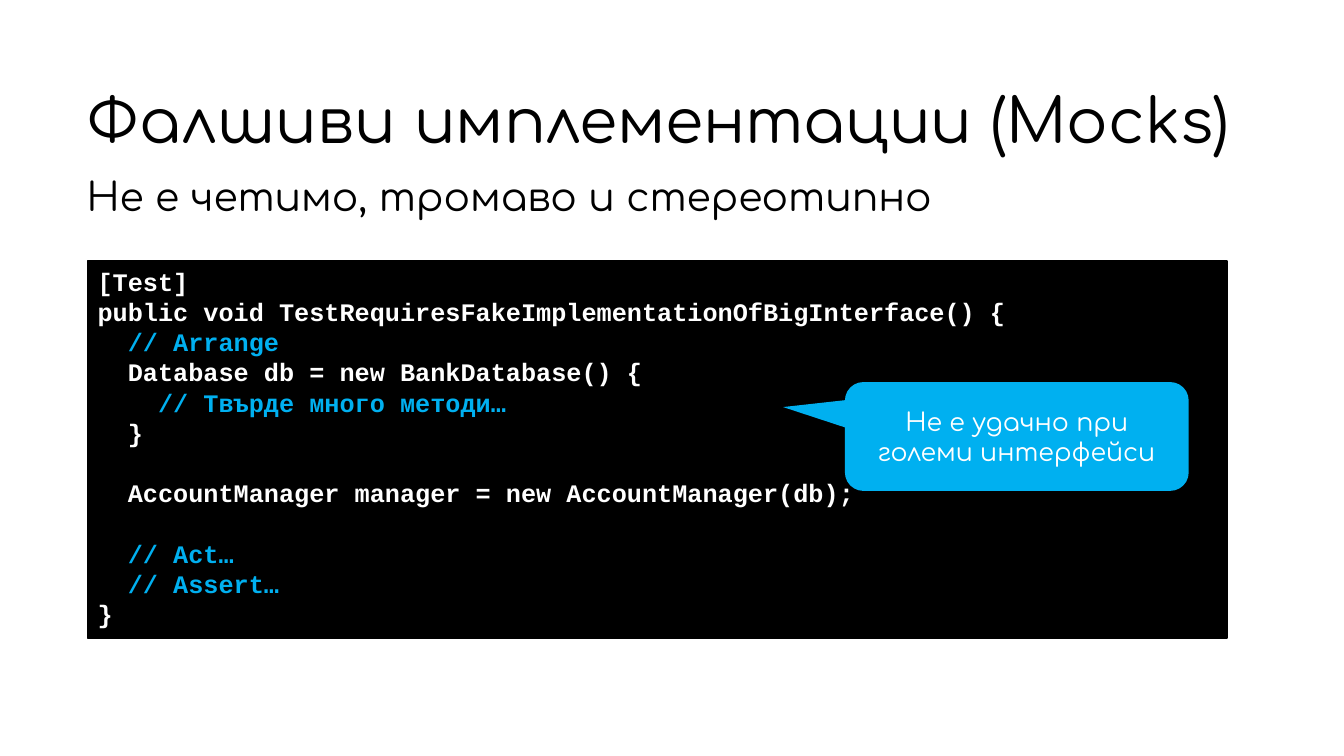
from pptx import Presentation
from pptx.dml.color import RGBColor
from pptx.enum.shapes import MSO_SHAPE
from pptx.enum.text import MSO_ANCHOR, PP_ALIGN
from pptx.util import Inches, Pt

RECT, CALLOUT = MSO_SHAPE.RECTANGLE, MSO_SHAPE.ROUNDED_RECTANGULAR_CALLOUT
TOP, MIDDLE = MSO_ANCHOR.TOP, MSO_ANCHOR.MIDDLE
LEFT, CENTER = PP_ALIGN.LEFT, PP_ALIGN.CENTER
BLACK, WHITE, BLUE = "000000", "FFFFFF", "00B0F0"
HEADING_FONT, CODE_FONT = "Comfortaa", "Courier New"

CODE = """[Test]
public void TestRequiresFakeImplementationOfBigInterface() {
  // Arrange
  Database db = new BankDatabase() {
    // Твърде много методи…
  }

  AccountManager manager = new AccountManager(db);

  // Act…
  // Assert…
}"""


def color(hex_value):
    return RGBColor.from_string(hex_value)


def write_line(paragraph, text, font, size, hex_color, bold=False,
               align=LEFT, spacing=1.0):
    for name, value in {"alignment": align, "line_spacing": spacing}.items():
        setattr(paragraph, name, value)
    formats = {"name": font, "size": Pt(size), "bold": bold}
    if text:
        target = paragraph.add_run().font
        paragraph.runs[0].text = text
    else:
        target = paragraph.font
    for name, value in formats.items():
        setattr(target, name, value)
    target.color.rgb = color(hex_color)


def set_frame(shape, anchor):
    frame = shape.text_frame
    formats = {"word_wrap": True, "vertical_anchor": anchor,
               "margin_top": Inches(0.05), "margin_bottom": Inches(0.05)}
    for name, value in formats.items():
        setattr(frame, name, value)
    return frame


def add_panel(slide, preset, box, fill):
    panel = slide.shapes.add_shape(preset, *map(Inches, box))
    panel.shadow.inherit = False
    panel.fill.solid()
    panel.fill.fore_color.rgb = color(fill)
    return panel


def add_heading(slide, box, text, size, anchor):
    heading = slide.shapes.add_textbox(*map(Inches, box))
    frame = set_frame(heading, anchor)
    write_line(frame.paragraphs[0], text, HEADING_FONT, size, BLACK, spacing=0.9)


def add_code(slide, box, code):
    panel = add_panel(slide, RECT, box, BLACK)
    panel.line.color.rgb = color(BLACK)
    panel.line.width = Pt(1)
    frame = set_frame(panel, TOP)
    for number, line in enumerate(code.split("\n")):
        paragraph = frame.add_paragraph() if number else frame.paragraphs[0]
        ink = BLUE if line.lstrip().startswith("//") else WHITE
        write_line(paragraph, line, CODE_FONT, 18, ink, bold=True)


def add_callout(slide, box, text, pointer):
    callout = add_panel(slide, CALLOUT, box, BLUE)
    callout.line.fill.background()
    for index, value in enumerate(pointer):
        callout.adjustments[index] = value
    frame = set_frame(callout, MIDDLE)
    write_line(frame.paragraphs[0], text, HEADING_FONT, 18, WHITE, align=CENTER)


def main():
    deck = Presentation()
    deck.slide_width, deck.slide_height = Inches(13.33), Inches(7.5)
    slide = deck.slides.add_slide(deck.slide_layouts[6])

    # Headings
    add_heading(slide, (0.76, 1.71, 11.71, 0.55),
                "Не е четимо, тромаво и стереотипно", 28, TOP)
    add_heading(slide, (0.76, 0.7, 11.86, 1.06),
                "Фалшиви имплементации (Mocks)", 44, MIDDLE)

    # Code sample with its remark
    add_code(slide, (0.87, 2.59, 11.3, 3.74), CODE)
    add_callout(slide, (8.38, 3.79, 3.41, 1.08),
                "Не е удачно при големи интерфейси", (-0.68, -0.27, 0.17))

    deck.save("out.pptx")


if __name__ == "__main__":
    main()
